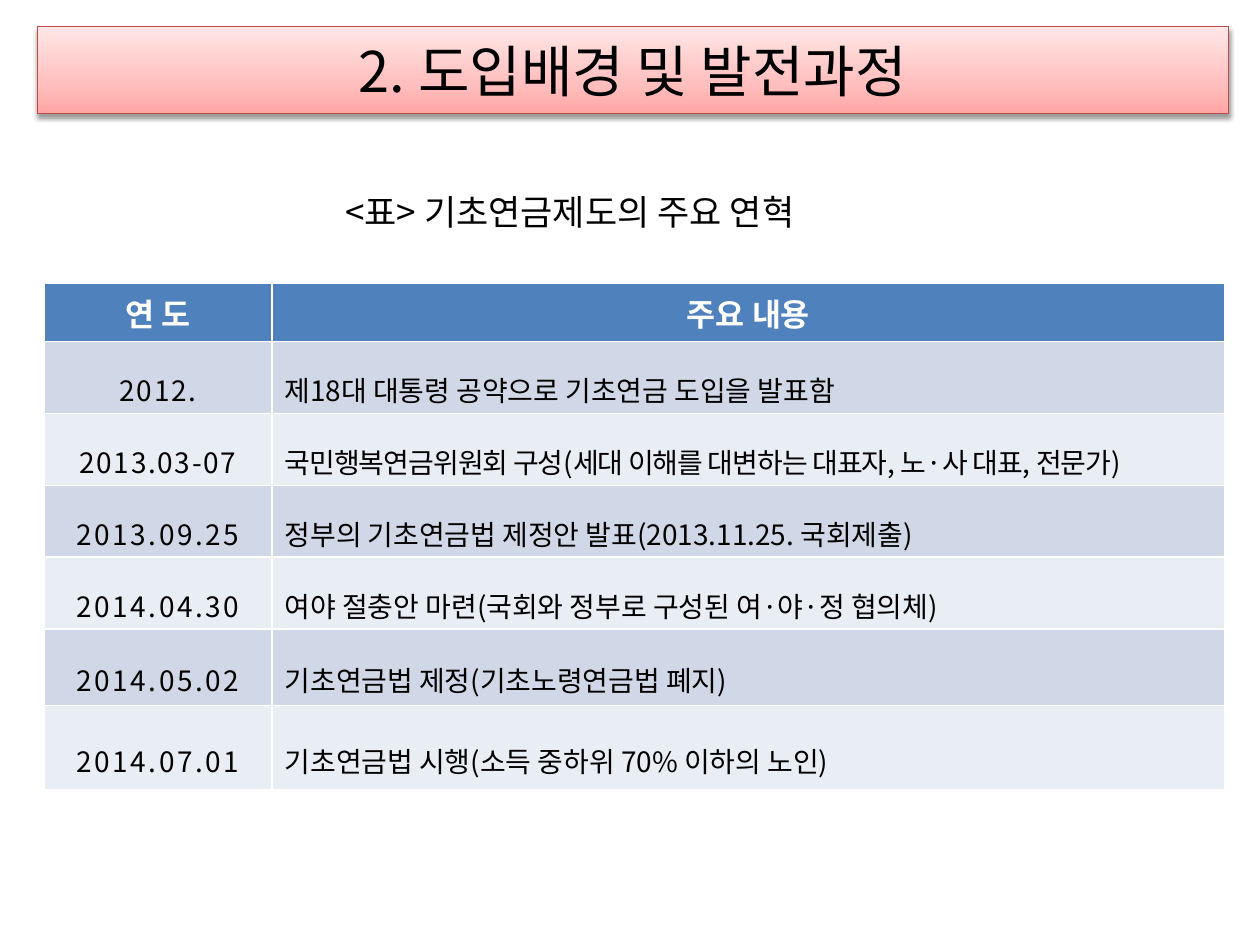
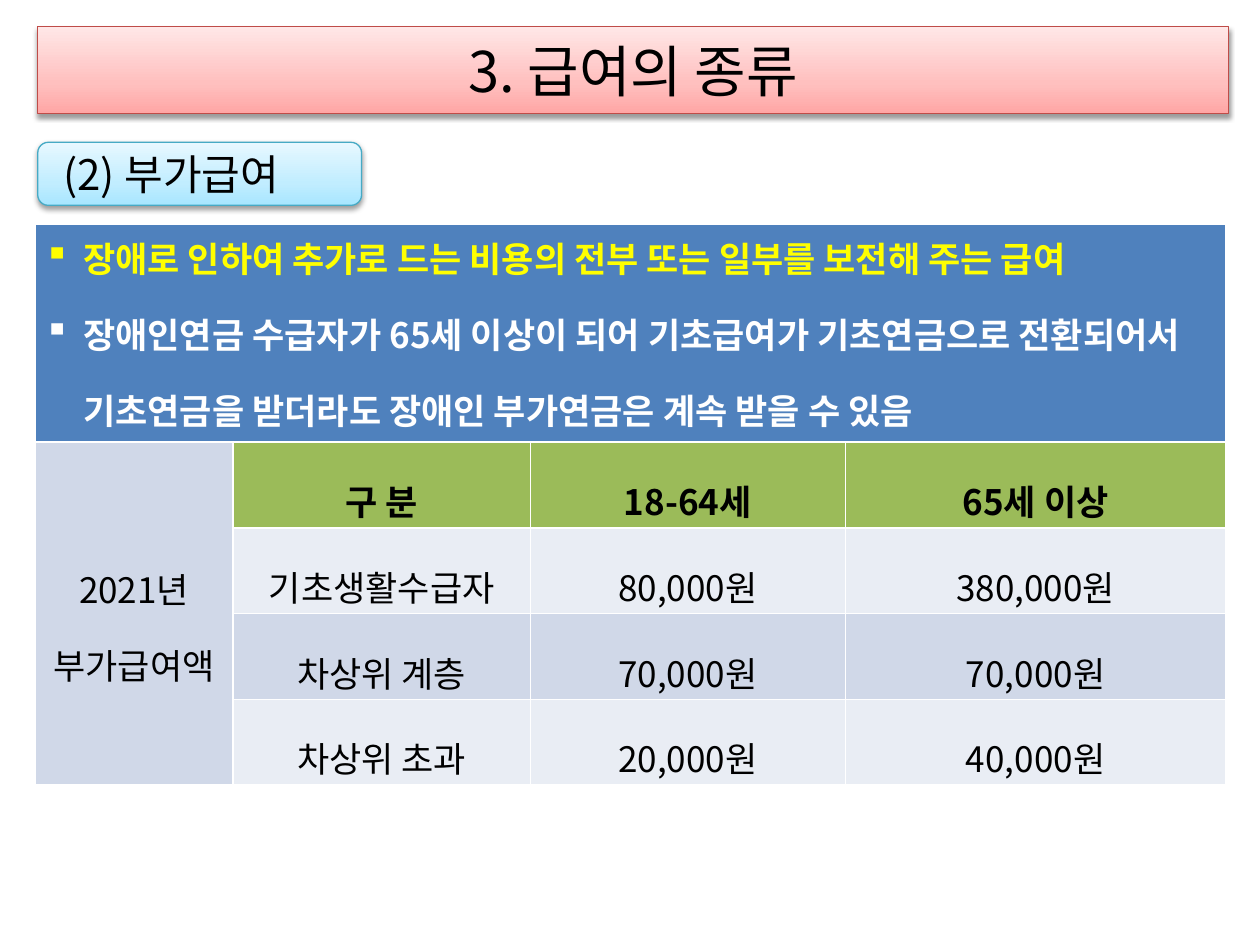
from lxml import etree
from pptx import Presentation
from pptx.dml.color import RGBColor
from pptx.enum.shapes import MSO_SHAPE as Preset
from pptx.enum.text import MSO_ANCHOR as Anchor, MSO_AUTO_SIZE as AutoSize, PP_ALIGN as Align
from pptx.oxml import parse_xml
from pptx.oxml.ns import nsdecls, qn
from pptx.util import Inches, Pt

FONT = "Noto Sans CJK KR"
COLORS = {
    "black": "000000", "white": "FFFFFF", "yellow": "FFFF00",
    "blue": "4F81BD", "green": "9BBB59",
    "band_dark": "D0D8E8", "band_light": "E9EDF4",
    "red_line": "BF4C48", "aqua_line": "46AAC5",
}
# Gradient stops from bottom to top
GRADIENTS = {
    "red": [(0, "FFA6A5"), (35, "FFC0BF"), (100, "FFE7E7")],
    "aqua": [(0, "A7E6FF"), (35, "C1EDFF"), (100, "E7F8FF")],
}
BANDS = ["band_dark", "band_light"]
CELL_INSETS = {
    "margin_left": Inches(0.07), "margin_right": Inches(0.07),
    "margin_top": Inches(0.02), "margin_bottom": Inches(0.02),
    "vertical_anchor": Anchor.MIDDLE,
}


def rgb(name):
    return RGBColor.from_string(COLORS[name])


def apply(target, values):
    for name, value in values.items():
        setattr(target, name, value)


class Deck:
    """Holds the shared style and the current slide."""

    def __init__(self):
        self.prs = Presentation()
        self.prs.slide_width, self.prs.slide_height = Inches(10), Inches(7.5)
        self.slide = None

    def new_slide(self, title):
        self.slide = self.prs.slides.add_slide(self.prs.slide_layouts[6])
        self.glossy_box(title, (0.3, 0.21, 9.45, 0.69), "red", 32)

    def put_text(self, paragraph, text, size, color="black", bold=False, spacing=0, **layout):
        apply(paragraph, layout)
        run = paragraph.add_run()
        run.text = text
        apply(run.font, {"size": Pt(size), "bold": bold, "name": FONT})
        run.font.color.rgb = rgb(color)
        props = run._r.get_or_add_rPr()
        etree.SubElement(props, qn("a:ea")).set("typeface", FONT)
        if spacing:
            props.set("spc", str(round(spacing * 100)))

    def indent(self, paragraph, left, first=0, bullet=None):
        props = paragraph._p.get_or_add_pPr()
        props.set("marL", str(Inches(left)))
        props.set("indent", str(Inches(first)))
        if bullet:
            etree.SubElement(props, qn("a:buChar")).set("char", bullet)

    def glossy_box(self, text, box, tone, size, preset=Preset.RECTANGLE,
                   align=Align.CENTER, left_inset=0.1):
        shape = self.slide.shapes.add_shape(preset, *map(Inches, box))
        stops = "".join(
            f'<a:gs pos="{pos * 1000}"><a:srgbClr val="{color}"/></a:gs>'
            for pos, color in GRADIENTS[tone])
        props = shape._element.spPr
        props.find(qn("a:prstGeom")).addnext(parse_xml(
            f'<a:gradFill {nsdecls("a")} rotWithShape="1"><a:gsLst>{stops}</a:gsLst>'
            '<a:lin ang="16200000" scaled="0"/></a:gradFill>'))
        shape.line.color.rgb = rgb(f"{tone}_line")
        shape.line.width = Pt(0.75)
        # Soft shadow straight below
        shape.shadow.inherit = False
        props.find(qn("a:effectLst")).append(parse_xml(
            f'<a:outerShdw {nsdecls("a")} blurRad="{Pt(3.1)}" dist="{Pt(1.6)}" dir="5400000" '
            'rotWithShape="0"><a:srgbClr val="000000"><a:alpha val="38000"/></a:srgbClr>'
            '</a:outerShdw>'))
        frame = shape.text_frame
        apply(frame, {"vertical_anchor": Anchor.MIDDLE, "word_wrap": True,
                      "margin_left": Inches(left_inset)})
        self.put_text(frame.paragraphs[0], text, size, alignment=align)

    def caption(self, text, box, size):
        frame = self.slide.shapes.add_textbox(*map(Inches, box)).text_frame
        apply(frame, {"word_wrap": False, "auto_size": AutoSize.SHAPE_TO_FIT_TEXT})
        self.put_text(frame.paragraphs[0], text, size)

    def table(self, left, top, widths, heights):
        grid = self.slide.shapes.add_table(
            len(heights), len(widths), Inches(left), Inches(top),
            Inches(sum(widths)), Inches(sum(heights))).table
        for column, width in zip(grid.columns, widths):
            column.width = Inches(width)
        for row, height in zip(grid.rows, heights):
            row.height = Inches(height)
        return grid

    def cell(self, cell, fill, insets=CELL_INSETS):
        apply(cell, insets)
        cell.fill.solid()
        cell.fill.fore_color.rgb = rgb(fill)
        return cell.text_frame.paragraphs[0]


def history_slide(deck):
    deck.new_slide("2. 도입배경 및 발전과정")

    # Timeline: date, date spacing, event, event spacing
    events = [
        ("2012.", 1, "제18대 대통령 공약으로 기초연금 도입을 발표함", 0),
        ("2013.03-07", 1,
         "국민행복연금위원회 구성(세대 이해를 대변하는 대표자, 노·사 대표, 전문가)", -0.5),
        ("2013.09.25", 1.5, "정부의 기초연금법 제정안 발표(2013.11.25. 국회제출)", 0),
        ("2014.04.30", 1.5, "여야 절충안 마련(국회와 정부로 구성된 여·야·정 협의체)", 0),
        ("2014.05.02", 1.5, "기초연금법 제정(기초노령연금법 폐지)", 0),
        ("2014.07.01", 1.5, "기초연금법 시행(소득 중하위 70% 이하의 노인)", 0),
    ]
    timeline = deck.table(0.35, 2.25, [1.81, 7.56], [0.45] + [0.57] * 4 + [0.61, 0.67])
    for col, heading in enumerate(["연 도", "주요 내용"]):
        deck.put_text(deck.cell(timeline.cell(0, col), "blue", {}), heading, 18, "white", True,
                      alignment=Align.CENTER)
    for row, (date, date_spacing, event, event_spacing) in enumerate(events, 1):
        band = BANDS[(row - 1) % 2]
        deck.put_text(deck.cell(timeline.cell(row, 0), band), date, 16, spacing=date_spacing,
                      alignment=Align.CENTER, line_spacing=1.6)
        event_line = deck.cell(timeline.cell(row, 1), band)
        deck.indent(event_line, 0.03)
        deck.put_text(event_line, event, 16, spacing=event_spacing,
                      alignment=Align.JUSTIFY, line_spacing=1.6)

    deck.caption("<표> 기초연금제도의 주요 연혁", (2.64, 1.46, 4.33, 0.44), 20)


def benefit_slide(deck):
    deck.new_slide("3. 급여의 종류")
    benefits = deck.table(0.28, 1.78, [1.57, 2.36, 2.5, 3.02], [1.73] + [0.68] * 4)

    # Definition across the top
    benefits.cell(0, 0).merge(benefits.cell(0, 3))
    definition = deck.cell(benefits.cell(0, 0), "blue")
    condition = benefits.cell(0, 0).text_frame.add_paragraph()
    for point in (definition, condition):
        deck.indent(point, 0.31, -0.31, "▪")
    deck.put_text(definition, "장애로 인하여 추가로 드는 비용의 전부 또는 일부를 보전해 주는 급여",
                  20, "yellow", True)
    deck.put_text(condition, "장애인연금 수급자가 65세 이상이 되어 기초급여가 기초연금으로 전환되어서 "
                  "기초연금을 받더라도 장애인 부가연금은 계속 받을 수 있음",
                  20, "white", True, line_spacing=1.5)

    # Year label down the left side
    benefits.cell(1, 0).merge(benefits.cell(4, 0))
    deck.put_text(deck.cell(benefits.cell(1, 0), "band_dark"), "2021년 부가급여액", 20,
                  alignment=Align.CENTER, line_spacing=1.5)

    # Amounts by group and age
    amounts = [
        ("구 분", "18-64세", "65세 이상"),
        ("기초생활수급자", "80,000원", "380,000원"),
        ("차상위 계층", "70,000원", "70,000원"),
        ("차상위 초과", "20,000원", "40,000원"),
    ]
    for row, values in enumerate(amounts, 1):
        heading = row == 1
        fill = "green" if heading else BANDS[(row - 1) % 2]
        for col, value in enumerate(values, 1):
            deck.put_text(deck.cell(benefits.cell(row, col), fill), value, 20, bold=heading,
                          alignment=Align.CENTER, line_spacing=1.6)

    deck.glossy_box("(2) 부가급여", (0.3, 1.13, 2.57, 0.5), "aqua", 24,
                    Preset.ROUNDED_RECTANGLE, Align.LEFT, left_inset=0.18)


def main():
    deck = Deck()
    history_slide(deck)
    benefit_slide(deck)
    deck.prs.save("out.pptx")


if __name__ == "__main__":
    main()
